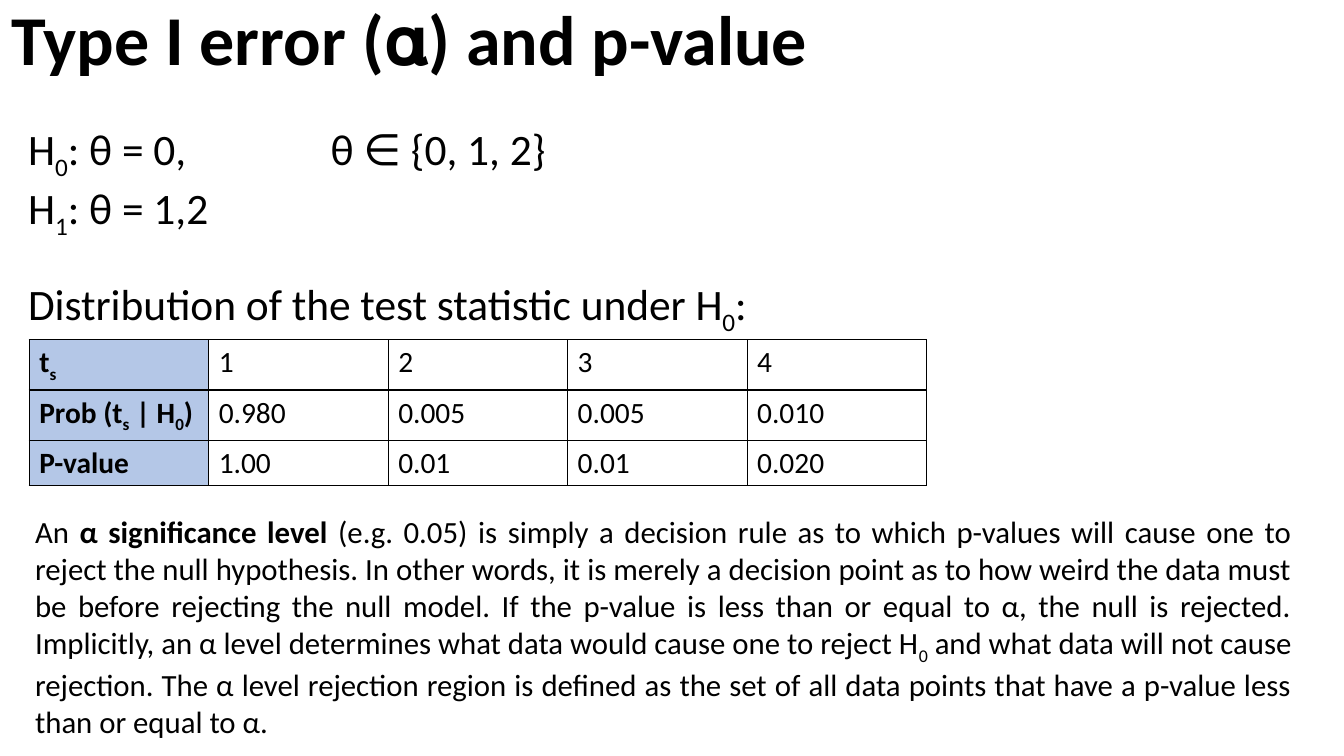
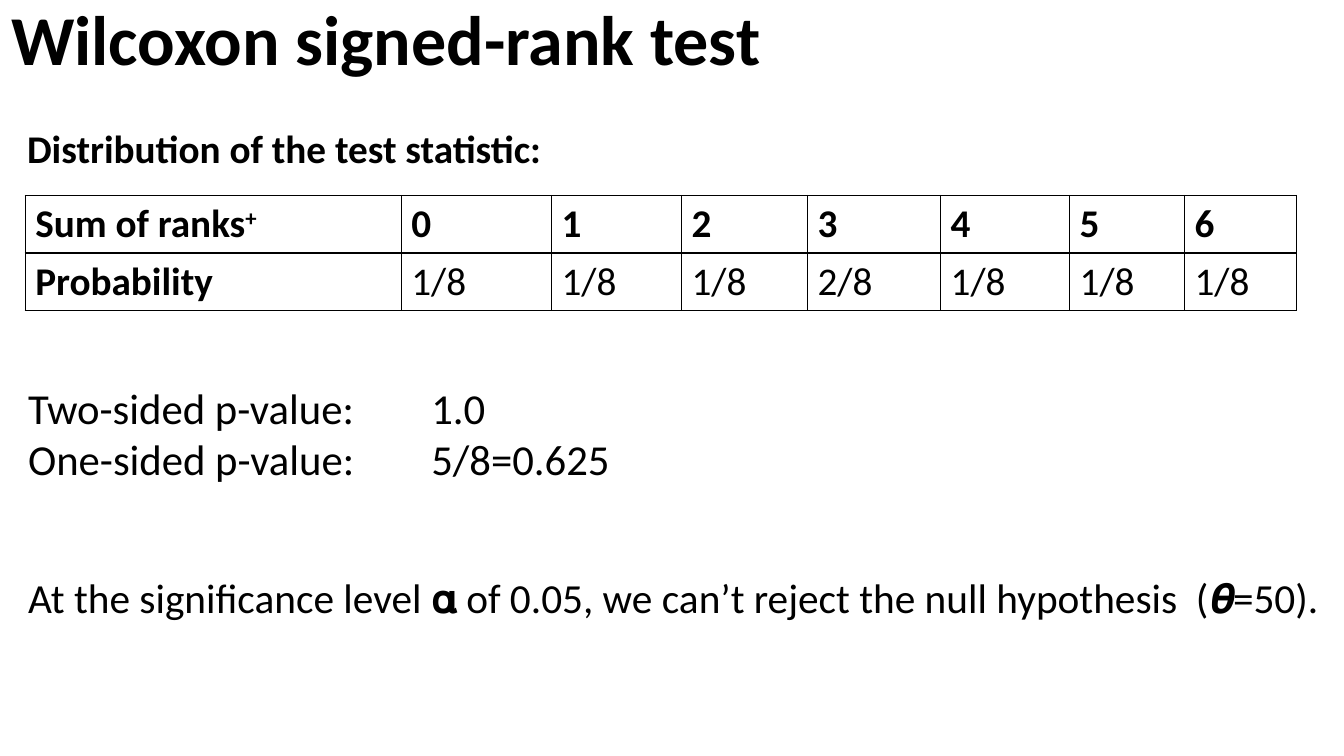
"""Build two slides on p-values and the Wilcoxon signed-rank test."""
from lxml import etree
from pptx import Presentation, util as u
from pptx.dml.color import RGBColor
from pptx.enum import text
from pptx.oxml import ns

BLACK = RGBColor(0x00, 0x00, 0x00)
HEADER_BLUE = RGBColor(0xB4, 0xC7, 0xE7)
FONT = "Calibri"
WIDTH, HEIGHT = 13.33, 7.5
TITLE_SIZE = 50
BASELINES = {"sub": "-25000", "sup": "30000"}

H0 = [("H", ""), ("0", "sub")]

SLIDES = [
    {
        "title": [("Type I error (", "b"), ("𝛂", ""), (") and p-value", "b")],
        "boxes": [
            {"at": (0.18, 1.16, 13.02, 1.16), "size": 31, "tab": 3,
             "paras": [H0 + [(": θ = 0,\tθ ∈ {0, 1, 2}", "")],
                       [("H", ""), ("1", "sub"), (": θ = 1,2", "")]]},
            {"at": (0.18, 2.7, 7.54, 0.62), "size": 31,
             "paras": [[("Distribution of the test statistic under ", "")] + H0 + [(":", "")]]},
            {"at": (0.25, 5.04, 12.66, 2.32), "size": 22, "align": text.PP_ALIGN.JUSTIFY,
             "paras": [[
                 ("An ", ""), ("α significance level ", "b"),
                 ("(e.g. 0.05) is simply a decision rule as to which p-values will cause one "
                  "to reject the null hypothesis. In other words, it is merely a decision point "
                  "as to how weird the data must be before rejecting the null model. If the "
                  "p-value is less than or equal to α, the null is rejected. Implicitly, an α "
                  "level determines what data would cause one to reject ", ""),
                 *H0,
                 (" and what data will not cause rejection. The α level rejection region is "
                  "defined as the set of all data points that have a p-value less than or equal "
                  "to α.", "")]]},
        ],
        "table": {
            "at": (0.29, 3.37), "columns": [1.78] * 5, "row": 0.45, "size": 21,
            "bold_top": False, "header_fill": HEADER_BLUE,
            "rows": [
                ([("t", "b"), ("s", "b sub")], "1 2 3 4"),
                ([("Prob (t", "b"), ("s", "b sub"), (" | H", "b"), ("0", "b sub"), (")", "b")],
                 "0.980 0.005 0.005 0.010"),
                ([("P-value", "b")], "1.00 0.01 0.01 0.020"),
            ]},
    },
    {
        "title": [("Wilcoxon signed-rank test", "b")],
        "boxes": [
            {"at": (0.17, 1.18, 13.02, 0.6), "size": 28,
             "paras": [[("Distribution of the test statistic:", "b")]]},
            {"at": (0.18, 3.74, 7.41, 1.13), "size": 30.5, "tab": 4,
             "paras": [[("Two-sided p-value:\t1.0", "")],
                       [("One-sided p-value:\t5/8=0.625", "")]]},
            {"at": (0.18, 5.63, 13.11, 0.6), "size": 29.5,
             "paras": [[("At the significance level 𝛂 of 0.05, we can’t reject the null "
                         "hypothesis  (𝜽=50).", "")]]},
        ],
        "table": {
            "at": (0.25, 1.94), "columns": [3.73, 1.49, 1.29, 1.25, 1.32, 1.28, 1.14, 1.11],
            "row": 0.57, "size": 28, "bold_top": True, "header_fill": None,
            "rows": [
                ([("Sum of ranks", "b"), ("+", "b sup")], "0 1 2 3 4 5 6"),
                ([("Probability", "b")], "1/8 1/8 1/8 2/8 1/8 1/8 1/8"),
            ]},
    },
]


def write(para, spans, size):
    """Add styled runs to a paragraph."""
    for words, style in spans:
        span = para.add_run()
        span.text = words
        span.font.name = FONT
        span.font.size = u.Pt(size)
        span.font.color.rgb = BLACK
        span.font.bold = "b" in style.split()
        for key, shift in BASELINES.items():
            if key in style.split():
                span.font._element.set("baseline", shift)


def place(shape, at):
    """Position a shape, in inches."""
    shape.left, shape.top, shape.width, shape.height = map(u.Inches, at)


def add_title(page, spans):
    """Fill the title placeholder in the shared style."""
    title = page.shapes.title
    place(title, (0.01, 0.03, WIDTH, 0.79))
    frame = title.text_frame
    frame.auto_size = text.MSO_AUTO_SIZE.NONE
    frame.vertical_anchor = text.MSO_ANCHOR.MIDDLE
    para = frame.paragraphs[0]
    para.alignment = text.PP_ALIGN.LEFT
    para.line_spacing = 0.9
    write(para, spans, TITLE_SIZE)


def add_box(page, box):
    """Add a text box with optional tab stop and alignment."""
    frame = page.shapes.add_textbox(*map(u.Inches, box["at"])).text_frame
    frame.word_wrap = True
    for index, spans in enumerate(box["paras"]):
        para = frame.add_paragraph() if index else frame.paragraphs[0]
        para.alignment = box.get("align", text.PP_ALIGN.LEFT)
        if "tab" in box:
            stops = etree.SubElement(para._p.get_or_add_pPr(), ns.qn("a:tabLst"))
            etree.SubElement(stops, ns.qn("a:tab"), pos=str(u.Inches(box["tab"])), algn="l")
        write(para, spans, box["size"])


def add_borders(cell):
    """Draw a thin black line on each side of a cell."""
    properties = cell._tc.get_or_add_tcPr()
    for side in ("lnL", "lnR", "lnT", "lnB"):
        line = etree.SubElement(properties, ns.qn(f"a:{side}"), w=str(u.Pt(1)))
        fill = etree.SubElement(line, ns.qn("a:solidFill"))
        etree.SubElement(fill, ns.qn("a:srgbClr"), val=str(BLACK))


def add_grid(page, grid):
    """Add a bordered table whose first column holds the row names."""
    columns, rows = grid["columns"], grid["rows"]
    extent = (*grid["at"], sum(columns), grid["row"] * len(rows))
    table = page.shapes.add_table(len(rows), len(columns), *map(u.Inches, extent)).table
    table.first_row = table.horz_banding = False
    for column, width in zip(table.columns, columns):
        column.width = u.Inches(width)
    for r, (name, values) in enumerate(rows):
        style = "b" if grid["bold_top"] and r == 0 else ""
        cells = [name] + [[(value, style)] for value in values.split()]
        for c, spans in enumerate(cells):
            cell = table.cell(r, c)
            add_borders(cell)
            if c == 0 and grid["header_fill"]:
                cell.fill.solid()
                cell.fill.fore_color.rgb = grid["header_fill"]
            else:
                cell.fill.background()
            write(cell.text_frame.paragraphs[0], spans, grid["size"])


def main():
    """Build and save the deck."""
    deck = Presentation()
    deck.slide_width, deck.slide_height = u.Inches(WIDTH), u.Inches(HEIGHT)
    title_only = deck.slide_layouts.get_by_name("Title Only")
    for content in SLIDES:
        page = deck.slides.add_slide(title_only)
        add_title(page, content["title"])
        for box in content["boxes"]:
            add_box(page, box)
        add_grid(page, content["table"])
    deck.save("out.pptx")


if __name__ == "__main__":
    main()
